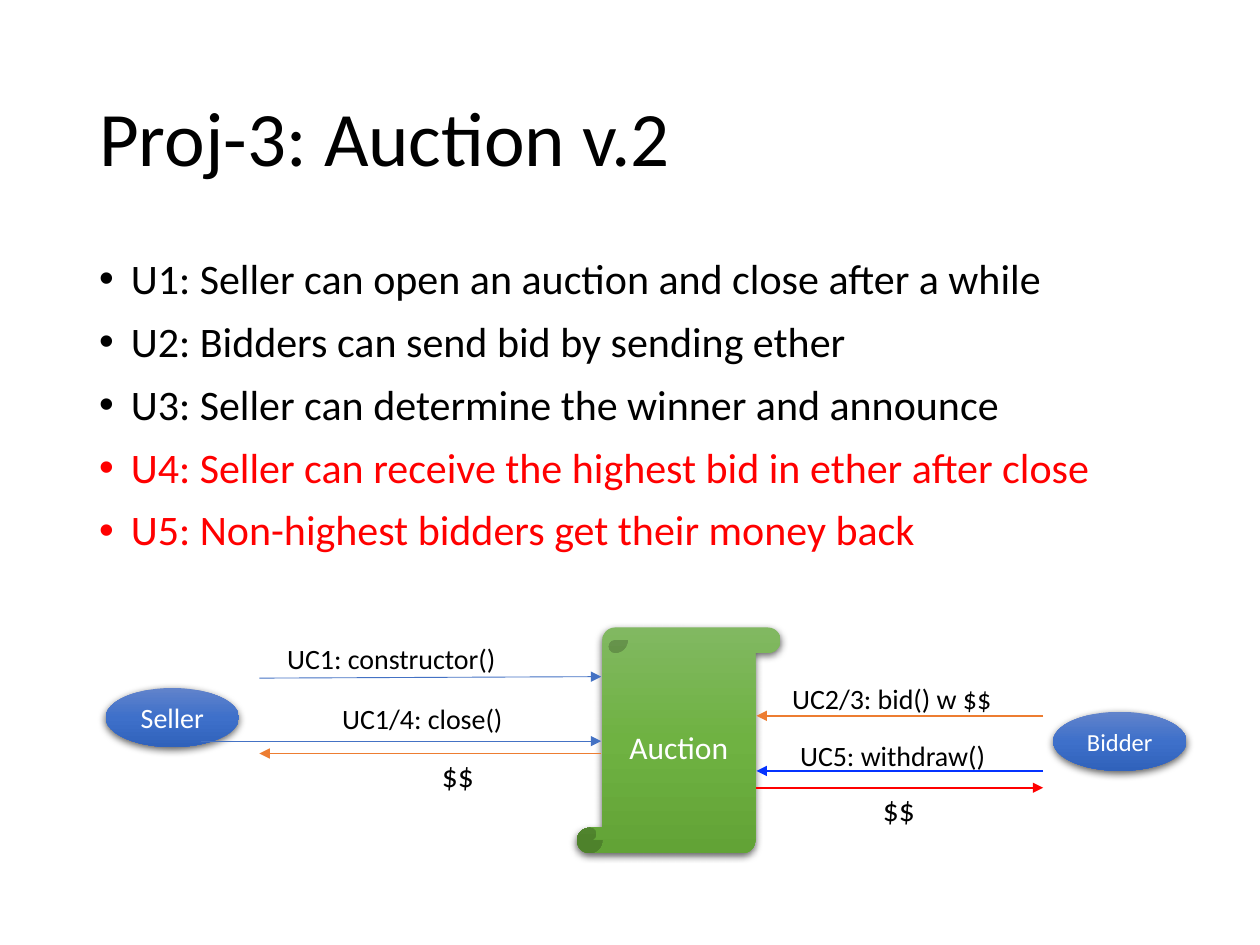
from dataclasses import dataclass

from pptx import Presentation
from pptx.dml.color import RGBColor
from pptx.enum.shapes import MSO_CONNECTOR as Connector, MSO_SHAPE as Shape
from pptx.enum.text import MSO_ANCHOR as Anchor, MSO_AUTO_SIZE as AutoSize, PP_ALIGN as Align
from pptx.oxml import parse_xml
from pptx.oxml.ns import nsdecls, qn
from pptx.util import Cm, Pt


@dataclass(frozen=True)
class Theme:
    font: str = "Calibri"
    text: str = "000000"
    inverse: str = "FFFFFF"
    highlight: str = "FF0000"
    seller_call: str = "4472C4"
    payment: str = "ED7D31"
    withdraw: str = "0432FF"
    green: tuple = ("81B861", "6FB242", "62A336")
    blue: tuple = ("6183CB", "3E70CA", "3062BB")
    title_size: int = 44
    body_size: int = 24
    large_size: int = 18
    label_size: int = 16
    small_size: int = 14


class SlideBuilder:
    def __init__(self, slide, theme):
        self.slide = slide
        self.theme = theme

    def add_run(self, paragraph, text, size, color):
        run = paragraph.add_run()
        run.text = text
        run.font.name = self.theme.font
        run.font.size = Pt(size)
        run.font.color.rgb = RGBColor.from_string(color)

    def text_box(self, box, wrap=True):
        frame = self.slide.shapes.add_textbox(*map(Cm, box)).text_frame
        frame.word_wrap = wrap
        return frame

    def title(self, text, box):
        frame = self.text_box(box)
        frame.vertical_anchor = Anchor.MIDDLE
        paragraph = frame.paragraphs[0]
        paragraph.line_spacing = 0.9
        self.add_run(paragraph, text, self.theme.title_size, self.theme.text)

    def bullets(self, items, box):
        frame = self.text_box(box)
        for index, (text, color) in enumerate(items):
            paragraph = frame.add_paragraph() if index else frame.paragraphs[0]
            paragraph.line_spacing = 0.9
            paragraph.space_before = Pt(10)
            properties = paragraph._p.get_or_add_pPr()
            properties.set("marL", str(Cm(0.64)))
            properties.set("indent", str(-Cm(0.64)))
            properties.append(parse_xml(f'<a:buFont {nsdecls("a")} typeface="Arial"/>'))
            properties.append(parse_xml(f'<a:buChar {nsdecls("a")} char="•"/>'))
            self.add_run(paragraph, text, self.theme.body_size, color)

    def label(self, text, left, top, width, size):
        frame = self.text_box((left, top, width, 0.94), wrap=False)
        frame.auto_size = AutoSize.SHAPE_TO_FIT_TEXT
        self.add_run(frame.paragraphs[0], text, size, self.theme.text)

    def node(self, kind, text, box, colors, size):
        shape = self.slide.shapes.add_shape(kind, *map(Cm, box))
        shape.line.fill.background()
        shape.shadow.inherit = False
        properties = shape._element.spPr
        stops = "".join(
            f'<a:gs pos="{index * 50000}"><a:srgbClr val="{color}"/></a:gs>'
            for index, color in enumerate(colors))
        properties.find(qn("a:prstGeom")).addnext(parse_xml(
            f'<a:gradFill {nsdecls("a")} rotWithShape="1"><a:gsLst>{stops}</a:gsLst>'
            '<a:lin ang="5400000" scaled="0"/></a:gradFill>'))
        properties.find(qn("a:effectLst")).append(parse_xml(
            f'<a:outerShdw {nsdecls("a")} blurRad="{Pt(4.5)}" dist="{Pt(1.5)}" '
            'dir="5400000" algn="ctr" rotWithShape="0"><a:srgbClr val="000000">'
            '<a:alpha val="63000"/></a:srgbClr></a:outerShdw>'))
        frame = shape.text_frame
        frame.word_wrap = True
        frame.vertical_anchor = Anchor.MIDDLE
        paragraph = frame.paragraphs[0]
        paragraph.alignment = Align.CENTER
        self.add_run(paragraph, text, size, self.theme.inverse)

    def arrow(self, start, end, color, width):
        connector = self.slide.shapes.add_connector(
            Connector.STRAIGHT, *map(Cm, start + end))
        connector.line.color.rgb = RGBColor.from_string(color)
        connector.line.width = Pt(width)
        connector.line._get_or_add_ln().append(
            parse_xml(f'<a:tailEnd {nsdecls("a")} type="triangle"/>'))
        connector._element.spPr.append(parse_xml(f'<a:effectLst {nsdecls("a")}/>'))


def main():
    presentation = Presentation()
    presentation.slide_width, presentation.slide_height = Cm(25.4), Cm(19.05)
    theme = Theme()
    builder = SlideBuilder(
        presentation.slides.add_slide(presentation.slide_layouts[6]), theme)

    # Title and use cases
    builder.title("Proj-3: Auction v.2", (1.75, 1.02, 21.9, 3.68))
    builder.bullets([
        ("U1: Seller can open an auction and close after a while", theme.text),
        ("U2: Bidders can send bid by sending ether", theme.text),
        ("U3: Seller can determine the winner and announce", theme.text),
        ("U4: Seller can receive the highest bid in ether after close", theme.highlight),
        ("U5: Non-highest bidders get their money back", theme.highlight),
    ], (1.75, 5.08, 21.9, 12.09))

    # Contract and its two parties
    for kind, text, box, colors, size in [
        (Shape.VERTICAL_SCROLL, "Auction", (11.63, 12.65, 4.11, 4.55),
         theme.green, theme.large_size),
        (Shape.OVAL, "Seller", (2.13, 13.87, 2.69, 1.19), theme.blue, theme.label_size),
        (Shape.OVAL, "Bidder", (21.23, 14.35, 2.69, 1.19), theme.blue, theme.small_size),
    ]:
        builder.node(kind, text, box, colors, size)

    # Calls and payments
    seller, contract_left, contract_right, bidder = 5.23, 12.12, 15.25, 21.03
    for start, end, color, width in [
        ((4.06, 14.94), (contract_left, 14.94), theme.seller_call, 0.5),
        ((seller, 13.67), (contract_left, 13.64), theme.seller_call, 0.5),
        ((contract_left, 15.19), (seller, 15.19), theme.payment, 0.5),
        ((bidder, 14.43), (contract_right, 14.43), theme.payment, 1),
        ((bidder, 15.54), (contract_right, 15.54), theme.withdraw, 1),
        ((contract_right, 15.88), (bidder, 15.88), theme.highlight, 1),
    ]:
        builder.arrow(start, end, color, width)

    # Arrow labels
    for text, left, top, width, size in [
        ("UC1: constructor()", 5.54, 12.8, 4.78, theme.label_size),
        ("UC1/4: close()", 6.65, 14.02, 3.78, theme.label_size),
        ("$$", 8.66, 15.11, 1.17, theme.large_size),
        ("UC2/3: bid() w $$", 15.72, 13.61, 4.57, theme.label_size),
        ("UC5: withdraw()", 15.88, 14.76, 4.29, theme.label_size),
        ("$$", 17.55, 15.8, 1.17, theme.large_size),
    ]:
        builder.label(text, left, top, width, size)

    presentation.save("out.pptx")


if __name__ == "__main__":
    main()
